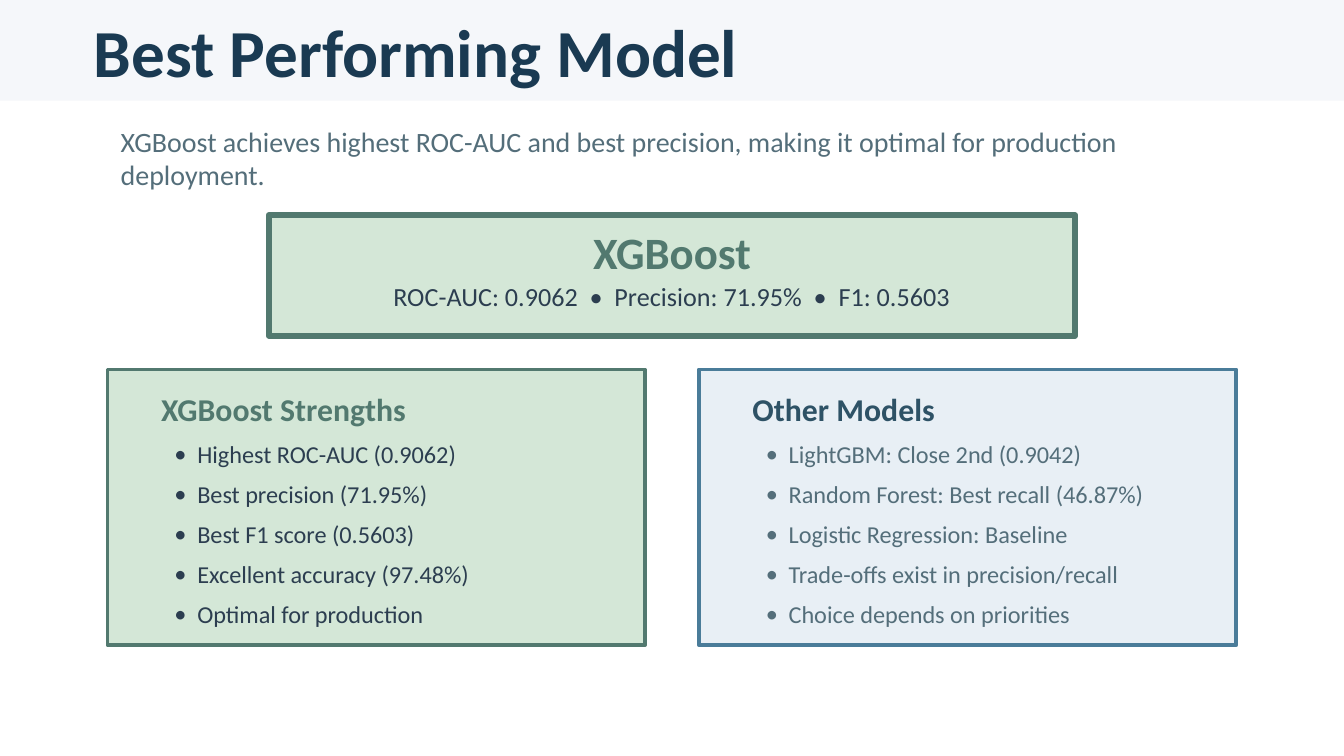
import pptx
import pptx.dml.color
import pptx.enum.shapes
import pptx.enum.text
import pptx.oxml.ns
import pptx.util
from lxml import etree

PX = 4572
FONT = "Calibri"
NAVY = "1A3A52"
GREEN = "52796F"
PALE_GREEN = "D4E7D7"
INK = "2C3E50"
SLATE = "546E7A"
BULLET_INDENT = 34


def color(hex_string):
    return pptx.dml.color.RGBColor.from_string(hex_string)


def add_text(text, left, top, width, height, *, size, fill, bold=False,
             align=pptx.enum.text.PP_ALIGN.LEFT, bullet=False, gap=0):
    box = slide.shapes.add_textbox(left * PX, top * PX, width * PX, height * PX)
    frame = box.text_frame
    frame.word_wrap = True
    frame.vertical_anchor = pptx.enum.text.MSO_ANCHOR.MIDDLE
    frame.text = text
    for index, paragraph in enumerate(frame.paragraphs):
        paragraph.alignment = align
        if index and gap:
            paragraph.space_before = pptx.util.Pt(gap)
        if bullet:
            properties = paragraph._p.get_or_add_pPr()
            properties.set("marL", str(BULLET_INDENT * PX))
            properties.set("indent", str(-BULLET_INDENT * PX))
            etree.SubElement(properties, pptx.oxml.ns.qn("a:buFont"), typeface=FONT)
            etree.SubElement(properties, pptx.oxml.ns.qn("a:buChar"), char="•")
        for run in paragraph.runs:
            run.font.name = FONT
            run.font.size = pptx.util.Pt(size)
            run.font.bold = bold
            run.font.color.rgb = color(fill)


presentation = pptx.Presentation()
presentation.slide_width = 2000 * PX
presentation.slide_height = 1125 * PX
slide = presentation.slides.add_slide(presentation.slide_layouts[6])

panels = [
    (0, 0, 2000, 150, "F5F7FA", None, 0),
    (400, 320, 1200, 180, PALE_GREEN, GREEN, 3),
    (160, 550, 800, 410, PALE_GREEN, GREEN, 2),
    (1040, 550, 800, 410, "E8EFF5", "4A7C99", 2),
]
for left, top, width, height, fill, line, weight in panels:
    shape = slide.shapes.add_shape(
        pptx.enum.shapes.MSO_SHAPE.RECTANGLE,
        left * PX, top * PX, width * PX, height * PX)
    shape.shadow.inherit = False
    shape.fill.solid()
    shape.fill.fore_color.rgb = color(fill)
    if line:
        shape.line.color.rgb = color(line)
        shape.line.width = pptx.util.Pt(weight)
    else:
        shape.line.fill.background()

add_text("Best Performing Model", 120, 40, 1760, 70, size=36, fill=NAVY, bold=True)
add_text("XGBoost achieves highest ROC-AUC and best precision, making it optimal "
         "for production deployment.", 160, 200, 1680, 70, size=15, fill=SLATE)

center = pptx.enum.text.PP_ALIGN.CENTER
add_text("XGBoost", 400, 344, 1200, 60, size=24, fill=GREEN, bold=True, align=center)
add_text("ROC-AUC: 0.9062  •  Precision: 71.95%  •  F1: 0.5603",
         400, 416, 1200, 50, size=14, fill=INK, align=center)

columns = [
    (160, "XGBoost Strengths", GREEN, INK, [
        "Highest ROC-AUC (0.9062)",
        "Best precision (71.95%)",
        "Best F1 score (0.5603)",
        "Excellent accuracy (97.48%)",
        "Optimal for production",
    ]),
    (1040, "Other Models", "2E5266", SLATE, [
        "LightGBM: Close 2nd (0.9042)",
        "Random Forest: Best recall (46.87%)",
        "Logistic Regression: Baseline",
        "Trade-offs exist in precision/recall",
        "Choice depends on priorities",
    ]),
]
for left, heading, heading_color, item_color, items in columns:
    add_text(heading, left + 60, 580, 680, 56, size=17, fill=heading_color, bold=True)
    add_text("\n".join(items), left + 80, 650, 640, 290, size=13, fill=item_color,
             bullet=True, gap=5.8)

presentation.save("out.pptx")
